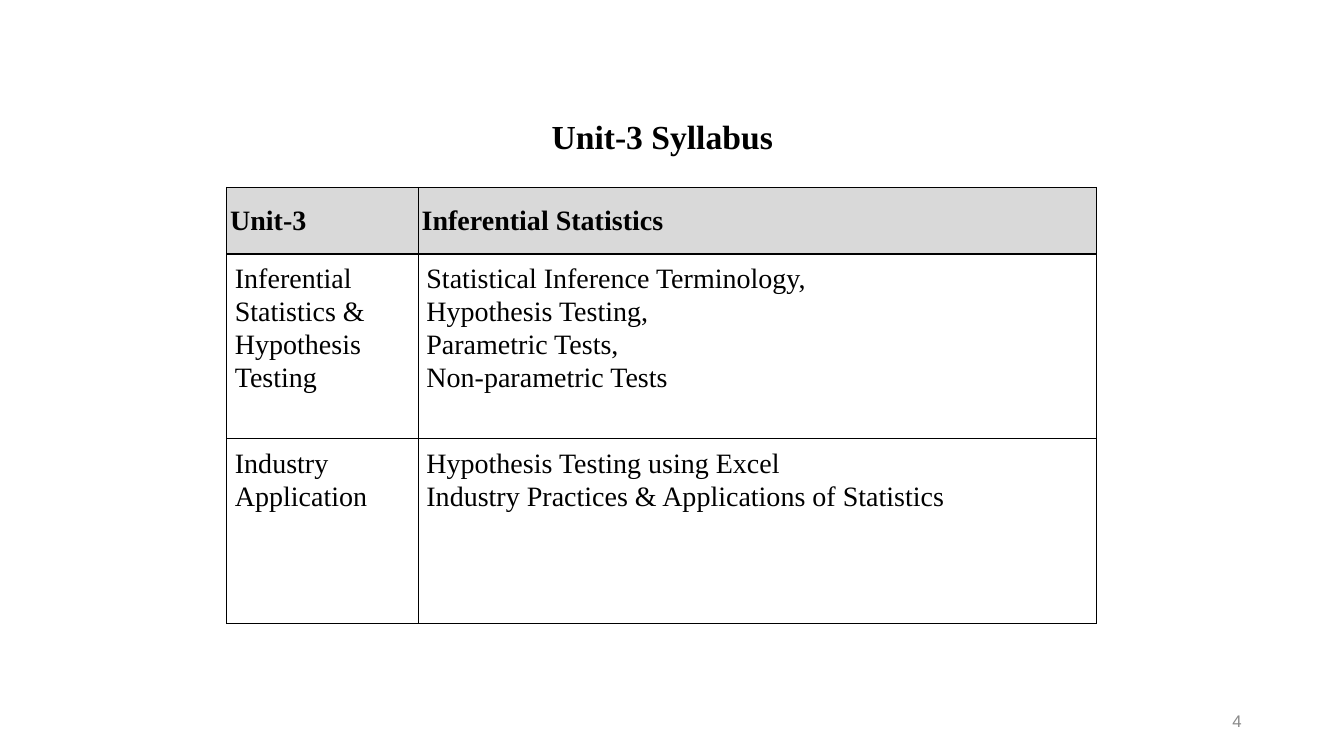
from lxml import etree
from pptx import Presentation
from pptx.dml.color import RGBColor
from pptx.enum.text import MSO_ANCHOR, PP_ALIGN
from pptx.oxml.ns import qn
from pptx.util import Pt

LEFT, CENTER, RIGHT, JUSTIFY = PP_ALIGN.LEFT, PP_ALIGN.CENTER, PP_ALIGN.RIGHT, PP_ALIGN.JUSTIFY
TOP, MIDDLE = MSO_ANCHOR.TOP, MSO_ANCHOR.MIDDLE
TITLE_ONLY = 5
SERIF = "Times New Roman"
BLACK, GREY, HEADER_FILL = "000000", "898989", "D9D9D9"

TITLE_FONT = {"name": SERIF, "size": Pt(24), "bold": True}
HEADER_FONT = {"name": SERIF, "size": Pt(20), "bold": True}
BODY_FONT = {"name": SERIF, "size": Pt(20), "bold": False}
NUMBER_FONT = {"name": "Arial", "size": Pt(12), "bold": False}

COLUMN_WIDTHS = [136.8, 484.6]
ROW_HEIGHTS = [47.5, 132, 132]
SYLLABUS = [
    [["Unit-3"], ["Inferential Statistics "]],
    [["Inferential Statistics & Hypothesis Testing"],
     ["Statistical Inference Terminology, ", "Hypothesis Testing, ",
      "Parametric Tests, ", "Non-parametric Tests"]],
    [["Industry Application"],
     ["Hypothesis Testing using Excel", "Industry Practices & Applications of Statistics"]],
]


def color(value):
    return RGBColor.from_string(value)


def set_attributes(target, values):
    for name, value in values.items():
        setattr(target, name, value)


def write_lines(frame, lines, font, para_format, ink=BLACK):
    """Write each line as its own paragraph, all in one format."""
    for index, line in enumerate(lines):
        para = frame.paragraphs[0] if index == 0 else frame.add_paragraph()
        set_attributes(para, para_format)
        span = para.add_run()
        span.text = line
        set_attributes(span.font, font)
        span.font.color.rgb = color(ink)


def add_borders(cell, ink, width):
    properties = cell._tc.get_or_add_tcPr()
    for index, side in enumerate(("a:lnL", "a:lnR", "a:lnT", "a:lnB")):
        line = etree.Element(qn(side), w=str(Pt(width)))
        fill = etree.SubElement(line, qn("a:solidFill"))
        etree.SubElement(fill, qn("a:srgbClr"), val=ink)
        properties.insert(index, line)


def place_title(page, left, top, width, height):
    title = page.shapes.title
    set_attributes(title, {"left": Pt(left), "top": Pt(top),
                           "width": Pt(width), "height": Pt(height)})
    title.text_frame.vertical_anchor = MIDDLE
    write_lines(title.text_frame, ["Unit-3 Syllabus"], TITLE_FONT,
                {"alignment": CENTER, "line_spacing": 0.9})


def place_page_number(page, left, top, width, height):
    box = page.shapes.add_textbox(Pt(left), Pt(top), Pt(width), Pt(height))
    set_attributes(box.text_frame, {"word_wrap": True, "vertical_anchor": MIDDLE})
    write_lines(box.text_frame, ["4"], NUMBER_FONT, {"alignment": RIGHT}, GREY)


def format_cell(cell, lines, is_header):
    side, edge = (2.4, 2.4) if is_header else (5.8, 5)
    set_attributes(cell, {"margin_left": Pt(side), "margin_right": Pt(side),
                          "margin_top": Pt(edge), "margin_bottom": Pt(edge),
                          "vertical_anchor": MIDDLE if is_header else TOP})
    if is_header:
        cell.fill.solid()
        cell.fill.fore_color.rgb = color(HEADER_FILL)
        write_lines(cell.text_frame, lines, HEADER_FONT, {"alignment": JUSTIFY})
    else:
        cell.fill.background()
        write_lines(cell.text_frame, lines, BODY_FONT,
                    {"alignment": LEFT, "line_spacing": 1.07})
    add_borders(cell, BLACK, 1)


def place_syllabus(page, left, top):
    frame = page.shapes.add_table(len(ROW_HEIGHTS), len(COLUMN_WIDTHS), Pt(left), Pt(top),
                                  Pt(sum(COLUMN_WIDTHS)), Pt(sum(ROW_HEIGHTS)))
    table = frame.table
    table.horz_banding = False
    for column, width in zip(table.columns, COLUMN_WIDTHS):
        column.width = Pt(width)
    for row_index, (row, height) in enumerate(zip(table.rows, ROW_HEIGHTS)):
        row.height = Pt(height)
        for cell, lines in zip(row.cells, SYLLABUS[row_index]):
            format_cell(cell, lines, is_header=row_index == 0)


def main():
    deck = Presentation()
    set_attributes(deck, {"slide_width": Pt(960), "slide_height": Pt(540)})
    page = deck.slides.add_slide(deck.slide_layouts[TITLE_ONLY])
    place_title(page, 162.5, 73.5, 621, 50.5)
    place_syllabus(page, 162, 134)
    place_page_number(page, 678, 500.5, 216, 28.8)
    deck.save("out.pptx")


if __name__ == "__main__":
    main()
